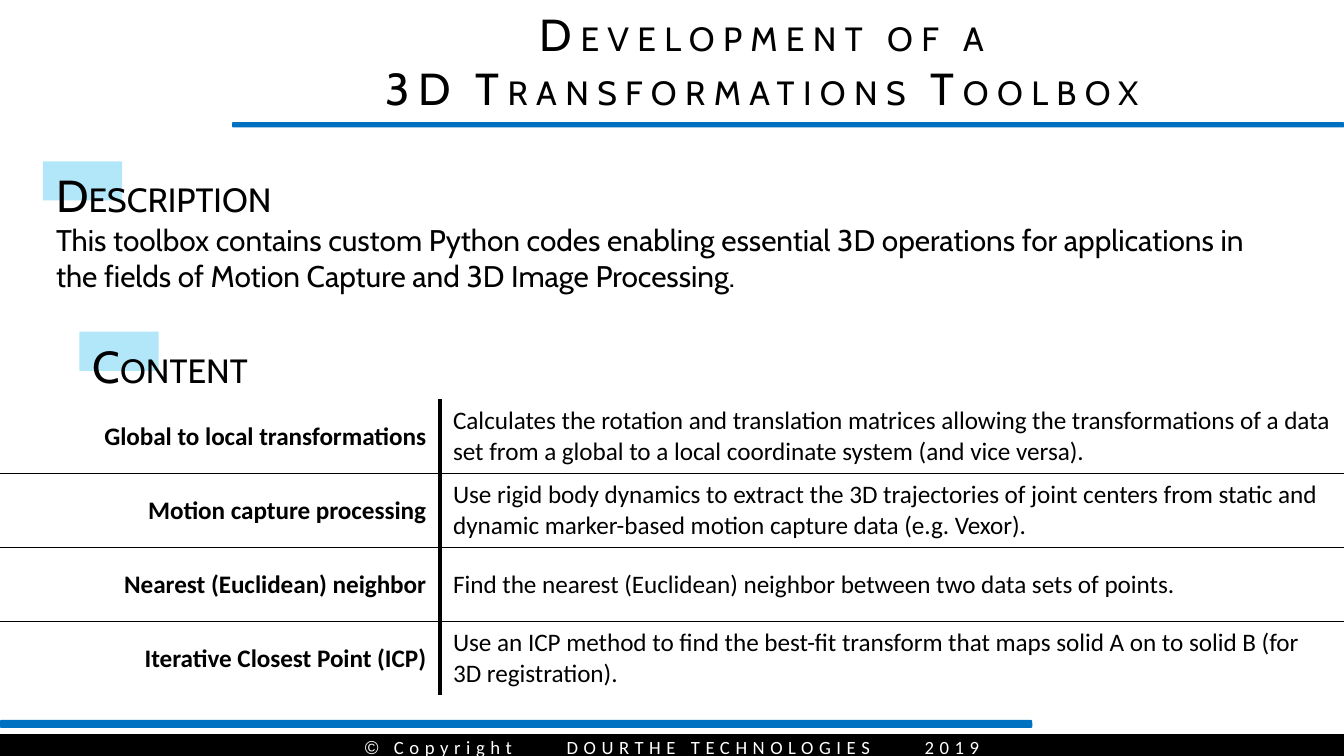
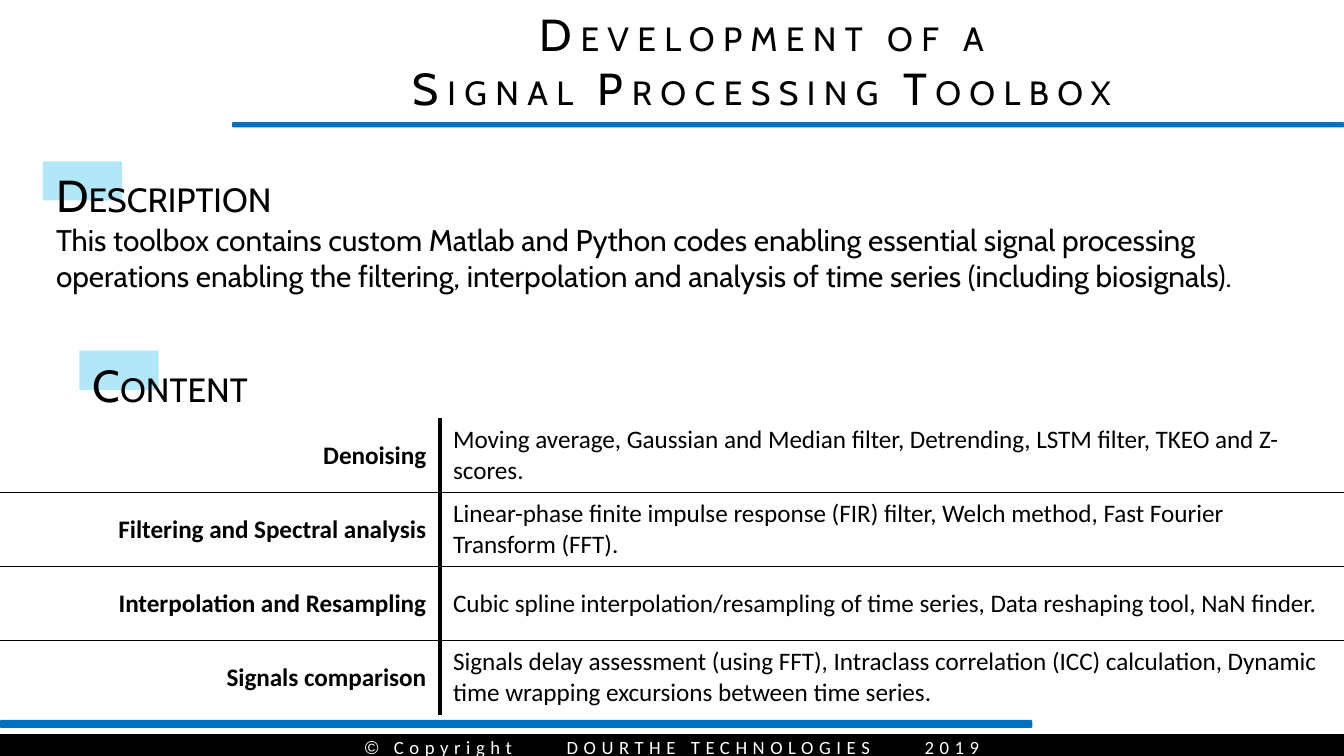
from dataclasses import dataclass
from itertools import groupby

from lxml import etree
from pptx import Presentation
from pptx.dml.color import RGBColor
from pptx.enum.shapes import MSO_SHAPE
from pptx.enum.text import MSO_ANCHOR, MSO_AUTO_SIZE, PP_ALIGN
from pptx.oxml.ns import qn
from pptx.slide import Slide
from pptx.table import _Cell
from pptx.text.text import TextFrame, _Paragraph, _Run
from pptx.util import Cm, Pt

RECT, ROUNDED = MSO_SHAPE.RECTANGLE, MSO_SHAPE.ROUNDED_RECTANGLE
LEFT, CENTER, RIGHT = PP_ALIGN.LEFT, PP_ALIGN.CENTER, PP_ALIGN.RIGHT
MIDDLE = MSO_ANCHOR.MIDDLE
FIT_SHAPE = MSO_AUTO_SIZE.SHAPE_TO_FIT_TEXT

COLORS = {"ink": "000000", "paper": "FFFFFF", "bar": "0070C0", "badge": "00B0F0"}
HEADING_FONT, BODY_FONT, SYMBOL_FONT = "Cabin", "Calibri", "Arial"
CAPITAL_SIZE, SMALL_CAP_SIZE, DESCRIPTION_SIZE = 24, 18, 16
SLIDE_WIDTH, SLIDE_HEIGHT = 25.4, 14.29
COLUMN_WIDTHS = (8.31, 17.09)
ROW_HEIGHT = 1.4
TABLE_OFFSET = 1.28  # from the top of the content heading
DIVIDER, ROW_RULE = 2.21, 0.5  # table line widths in points


@dataclass(frozen=True)
class Box:
    """Left, top, width and height in centimetres."""
    left: float
    top: float
    width: float
    height: float

    def lengths(self) -> tuple[Cm, Cm, Cm, Cm]:
        return Cm(self.left), Cm(self.top), Cm(self.width), Cm(self.height)


@dataclass(frozen=True)
class Tool:
    name: str
    purpose: str


@dataclass(frozen=True)
class Toolbox:
    title: tuple[str, str]
    description: str
    description_box: Box
    content_top: float
    tools: tuple[Tool, ...]


TOOLBOXES = (
    Toolbox(
        ("Development of a", "3D Transformations Toolbox"),
        "This toolbox contains custom Python codes enabling essential 3D operations "
        "for applications in the fields of Motion Capture and 3D Image Processing.",
        Box(0.81, 3.05, 23.77, 2.62),
        6.27,
        (
            Tool("Global to local transformations",
                 "Calculates the rotation and translation matrices allowing the transformations "
                 "of a data set from a global to a local coordinate system (and vice versa)."),
            Tool("Motion capture processing",
                 "Use rigid body dynamics to extract the 3D trajectories of joint centers from "
                 "static and dynamic marker-based motion capture data (e.g. Vexor)."),
            Tool("Nearest (Euclidean) neighbor",
                 "Find the nearest (Euclidean) neighbor between two data sets of points."),
            Tool("Iterative Closest Point (ICP)",
                 "Use an ICP method to find the best-fit transform that maps solid A on to "
                 "solid B (for 3D registration)."),
        ),
    ),
    Toolbox(
        ("Development of a", "Signal Processing Toolbox"),
        "This toolbox contains custom Matlab and Python codes enabling essential signal "
        "processing operations enabling the filtering, interpolation and analysis of time "
        "series (including biosignals).",
        Box(0.81, 3.05, 24.23, 3.3),
        6.63,
        (
            Tool("Denoising",
                 "Moving average, Gaussian and Median filter, Detrending, LSTM filter, TKEO "
                 "and Z-scores."),
            Tool("Filtering and Spectral analysis",
                 "Linear-phase finite impulse response (FIR) filter, Welch method, Fast Fourier "
                 "Transform (FFT)."),
            Tool("Interpolation and Resampling",
                 "Cubic spline interpolation/resampling of time series, Data reshaping tool, "
                 "NaN finder."),
            Tool("Signals comparison",
                 "Signals delay assessment (using FFT), Intraclass correlation (ICC) calculation, "
                 "Dynamic time wrapping excursions between time series."),
        ),
    ),
)


# Text
def format_run(run: _Run, font: str, size: float, color: str = "ink",
               bold: bool = False, spacing: float = 0) -> None:
    run.font.name = font
    run.font.size = Pt(size)
    run.font.bold = bold
    run.font.color.rgb = RGBColor.from_string(COLORS[color])
    if spacing:
        run.font._element.set("spc", str(round(spacing * 100)))


def add_small_caps(paragraph: _Paragraph, text: str, spacing: float = 0) -> None:
    """Capitals and digits stay large; all other letters become small capitals."""
    for is_large, letters in groupby(text, lambda c: c.isupper() or c.isdigit()):
        run = paragraph.add_run()
        run.text = "".join(letters).upper()
        size = CAPITAL_SIZE if is_large else SMALL_CAP_SIZE
        format_run(run, HEADING_FONT, size, spacing=spacing)


def add_text_area(slide: Slide, box: Box) -> TextFrame:
    frame = slide.shapes.add_textbox(*box.lengths()).text_frame
    frame.word_wrap = True
    frame.auto_size = FIT_SHAPE
    return frame


# Bands and badges
def add_block(slide: Slide, kind: MSO_SHAPE, box: Box, color: str):
    block = slide.shapes.add_shape(kind, *box.lengths())
    block.shadow.inherit = False
    block.fill.solid()
    block.fill.fore_color.rgb = RGBColor.from_string(COLORS[color])
    block.line.fill.background()
    return block


def add_badge(slide: Slide, left: float, top: float) -> None:
    badge = add_block(slide, RECT, Box(left, top, 1.5, 0.74), "badge")
    tint = badge.fill._xPr.find(qn("a:solidFill"))[0]
    etree.SubElement(tint, qn("a:alpha"), val="30000")


def add_footer(slide: Slide) -> None:
    footer = add_block(slide, RECT, Box(0, 13.92, SLIDE_WIDTH, 0.41), "ink")
    footer.line.color.rgb = RGBColor.from_string(COLORS["ink"])
    footer.line.width = Pt(2)
    frame = footer.text_frame
    frame.word_wrap = True
    frame.vertical_anchor = MIDDLE
    frame.margin_top = frame.margin_bottom = Cm(0.25)
    notice = frame.paragraphs[0]
    notice.alignment = CENTER
    wide_gap = (" ", BODY_FONT, 24)
    parts = (("©", SYMBOL_FONT, 3), (" Copyright", BODY_FONT, 3), wide_gap,
             ("DOURTHE TECHNOLOGIES", BODY_FONT, 3), wide_gap, ("2019", BODY_FONT, 3))
    for text, font, spacing in parts:
        run = notice.add_run()
        run.text = text
        format_run(run, font, 10, "paper", spacing=spacing)


# Table of tools
def set_borders(cell: _Cell, widths: dict[str, float]) -> None:
    """Draw the sides named in widths (points) and hide the others."""
    properties = cell._tc.get_or_add_tcPr()
    for side in "LRTB":
        width = widths.get(side, 0)
        border = etree.SubElement(properties, qn(f"a:ln{side}"), w=str(Pt(width)))
        if width:
            fill = etree.SubElement(border, qn("a:solidFill"))
            etree.SubElement(fill, qn("a:srgbClr"), val=COLORS["ink"])
        else:
            etree.SubElement(border, qn("a:noFill"))


def add_tools(slide: Slide, tools: tuple[Tool, ...], top: float) -> None:
    box = Box(0, top, SLIDE_WIDTH, ROW_HEIGHT * len(tools))
    table = slide.shapes.add_table(len(tools), 2, *box.lengths()).table
    table.first_row = table.horz_banding = False
    for column, width in zip(table.columns, COLUMN_WIDTHS):
        column.width = Cm(width)
    for index, tool in enumerate(tools):
        table.rows[index].height = Cm(ROW_HEIGHT)
        row_rules = {"T": ROW_RULE if index else 0,
                     "B": ROW_RULE if index < len(tools) - 1 else 0}
        columns = ((tool.name, RIGHT, True, "R"), (tool.purpose, LEFT, False, "L"))
        for cell, (text, alignment, bold, divider_side) in zip(table.rows[index].cells, columns):
            set_borders(cell, {**row_rules, divider_side: DIVIDER})
            cell.fill.background()
            cell.vertical_anchor = MIDDLE
            cell.margin_top = cell.margin_bottom = Cm(0.11)
            cell.text_frame.text = text
            paragraph = cell.text_frame.paragraphs[0]
            paragraph.alignment = alignment
            format_run(paragraph.runs[0], BODY_FONT, 13.5, bold=bold)


# Slide parts
def add_title(slide: Slide, lines: tuple[str, str]) -> None:
    frame = add_text_area(slide, Box(3.4, 0, 22, 2.29))
    for index, line in enumerate(lines):
        paragraph = frame.add_paragraph() if index else frame.paragraphs[0]
        paragraph.alignment = CENTER
        add_small_caps(paragraph, line, spacing=4.5)
    add_block(slide, ROUNDED, Box(4.39, 2.31, 21.01, 0.1), "bar")


def add_section(slide: Slide, heading: str, box: Box) -> TextFrame:
    add_badge(slide, box.left, box.top)
    frame = add_text_area(slide, box)
    add_small_caps(frame.paragraphs[0], heading)
    return frame


def add_toolbox_slide(slide: Slide, toolbox: Toolbox) -> None:
    add_footer(slide)
    add_block(slide, ROUNDED, Box(0, 13.61, 19.51, 0.15), "bar")
    add_title(slide, toolbox.title)
    add_tools(slide, toolbox.tools, toolbox.content_top + TABLE_OFFSET)
    description = add_section(slide, "Description", toolbox.description_box).add_paragraph()
    description.text = toolbox.description
    format_run(description.runs[0], HEADING_FONT, DESCRIPTION_SIZE)
    add_section(slide, "Content", Box(1.5, toolbox.content_top, 23.09, 1.28))


def main() -> None:
    deck = Presentation()
    deck.slide_width, deck.slide_height = Cm(SLIDE_WIDTH), Cm(SLIDE_HEIGHT)
    blank = deck.slide_layouts[6]
    for toolbox in TOOLBOXES:
        add_toolbox_slide(deck.slides.add_slide(blank), toolbox)
    deck.save("out.pptx")


if __name__ == "__main__":
    main()
